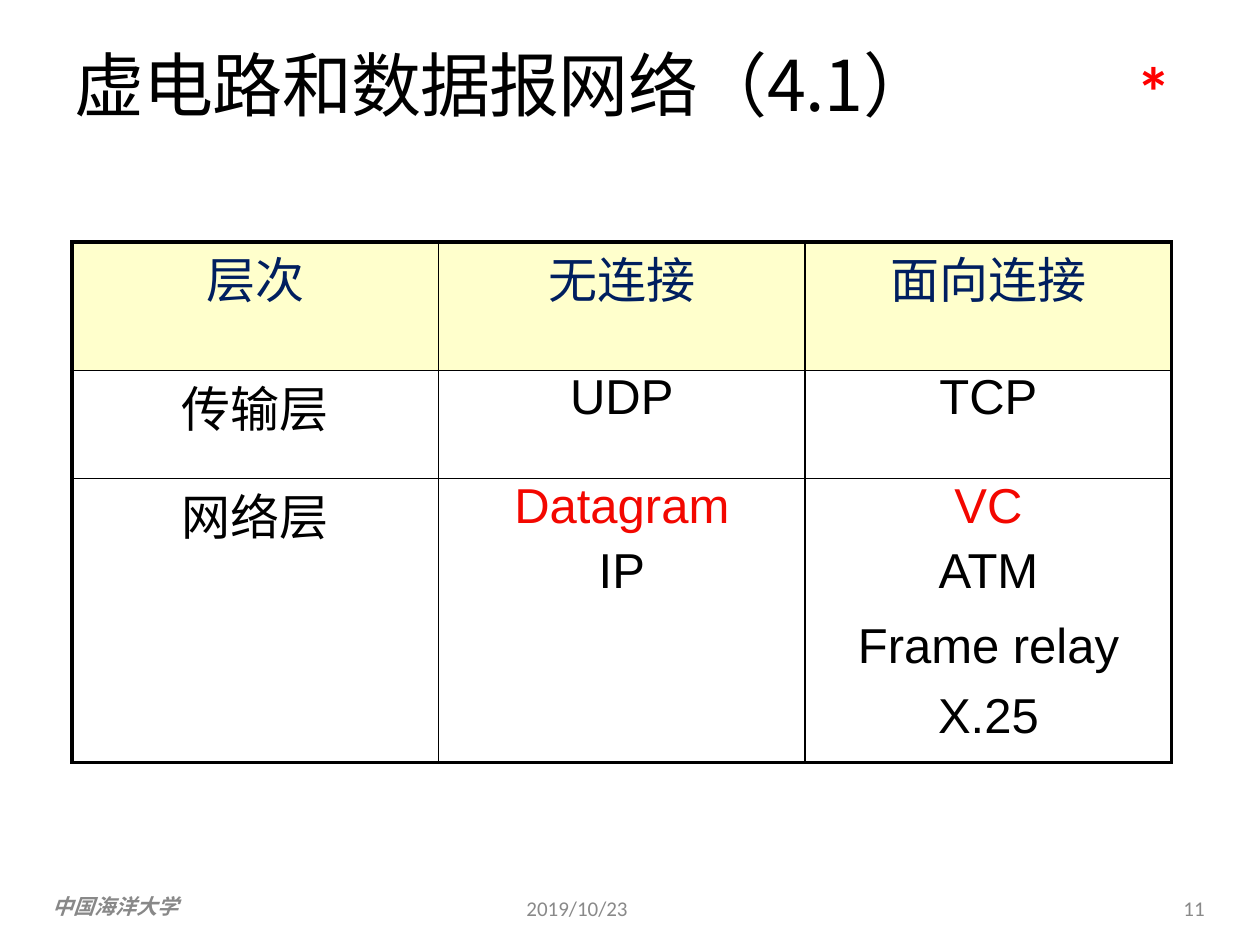
from dataclasses import dataclass

from lxml.etree import SubElement
from pptx import Presentation
from pptx.dml.color import RGBColor as Rgb
from pptx.enum.text import MSO_ANCHOR as Anchor, MSO_AUTO_SIZE as AutoSize, PP_ALIGN as Align
from pptx.oxml.ns import qn
from pptx.util import Inches, Pt

COLORS = {"black": "000000", "navy": "001F5F", "red": "F30700", "star": "FF0000",
          "number": "898989", "school": "888888", "header": "FFFFCC"}
CJK = "Noto Sans CJK SC"
NO_INSETS = dict.fromkeys(("margin_left", "margin_top", "margin_right", "margin_bottom"), 0)


@dataclass
class Line:
    text: str
    size: float = 28
    font: str = "Arial"
    color: str = "black"
    align: Align = Align.CENTER
    bold: bool = False
    italic: bool = False
    tracking: float = 0
    before: float = 0
    leading: float = 0


@dataclass
class Label:
    box: tuple
    line: Line
    frame_format: dict


def apply(target, values: dict) -> None:
    for name, value in values.items():
        setattr(target, name, value)


def write(frame, lines: list[Line]) -> None:
    for index, line in enumerate(lines):
        paragraph = frame.add_paragraph() if index else frame.paragraphs[0]
        spacing = {"alignment": line.align, "space_before": Pt(line.before)}
        if line.leading:
            spacing["line_spacing"] = Pt(line.leading)
        apply(paragraph, spacing)
        run = paragraph.add_run()
        run.text = line.text
        apply(run.font, {"size": Pt(line.size), "name": line.font,
                         "bold": line.bold, "italic": line.italic})
        run.font.color.rgb = Rgb.from_string(COLORS[line.color])
        properties = run._r.get_or_add_rPr()
        properties.set("spc", str(round(line.tracking * 100)))
        east_asian = SubElement(properties, qn("a:ea"))
        east_asian.set("typeface", CJK)


def draw_label(slide, label: Label) -> None:
    box = slide.shapes.add_textbox(*map(Inches, label.box))
    apply(box.text_frame, {"word_wrap": True, **label.frame_format})
    write(box.text_frame, [label.line])


def draw_borders(cell, widths: dict[str, float]) -> None:
    properties = cell._tc.get_or_add_tcPr()
    for side, width in widths.items():
        border = SubElement(properties, qn(f"a:ln{side}"), w=str(Pt(width)))
        fill = SubElement(border, qn("a:solidFill"))
        SubElement(fill, qn("a:srgbClr"), val=COLORS["black"])


def draw_layers(slide, rows: list, heights: list[float], column_width: float) -> None:
    columns = len(rows[0])
    frame = slide.shapes.add_table(len(rows), columns, Inches(0.57), Inches(1.92),
                                   Inches(column_width * columns), Inches(sum(heights)))
    table = frame.table
    apply(table, {"first_row": False, "horz_banding": False})
    for column in table.columns:
        column.width = Inches(column_width)
    for r, (row, height) in enumerate(zip(rows, heights)):
        table.rows[r].height = Inches(height)
        for c, lines in enumerate(row):
            cell = table.cell(r, c)
            apply(cell, NO_INSETS)
            outer = {"L": c == 0, "R": c == columns - 1, "T": r == 0, "B": r == len(rows) - 1}
            draw_borders(cell, {side: 2.25 if edge else 1 for side, edge in outer.items()})
            if r == 0:
                cell.fill.solid()
                cell.fill.fore_color.rgb = Rgb.from_string(COLORS["header"])
            else:
                cell.fill.background()
            write(cell.text_frame, lines)


def main() -> None:
    deck = Presentation()
    apply(deck, {"slide_width": Inches(10), "slide_height": Inches(7.5)})
    slide = deck.slides.add_slide(deck.slide_layouts[5])

    title = slide.shapes.title
    apply(title, {"left": Inches(0.59), "top": Inches(0.35),
                  "width": Inches(8.58), "height": Inches(0.65)})
    apply(title.text_frame, {**NO_INSETS, "vertical_anchor": Anchor.TOP,
                             "auto_size": AutoSize.NONE, "word_wrap": True})
    write(title.text_frame, [Line("虚电路和数据报网络（4.1）", 40, CJK, align=Align.LEFT,
                                  tracking=-0.4, leading=46.6)])

    headings = [[Line(text, font=CJK, color="navy", tracking=0.1)]
                for text in ("层次", "无连接", "面向连接")]
    transport = [[Line("传输层", font=CJK)], [Line("UDP")], [Line("TCP")]]
    network = [
        [Line("网络层", font=CJK)],
        [Line("Datagram", color="red"), Line("IP", before=6)],
        [Line("VC", color="red"), Line("ATM", before=6),
         Line("Frame relay", before=2.5, leading=40.3), Line("X.25", leading=40.3)],
    ]
    draw_layers(slide, [headings, transport, network], [1.02, 0.86, 2.25], 2.91)

    middle = {"vertical_anchor": Anchor.MIDDLE}
    labels = [
        Label((7.33, 7.01, 2.33, 0.4),
              Line("11", 12, "Calibri", "number", Align.RIGHT), middle),
        Label((4.08, 7.01, 2.33, 0.4),
              Line("2019/10/23", 12, "Calibri", "number", Align.LEFT), middle),
        Label((0.42, 7.09, 2.08, 0.2),
              Line("中国海洋大学", 12, "Arial", "school", Align.LEFT, True, True), NO_INSETS),
        Label((8.92, 0.33, 0.5, 0.77),
              Line("*", 40, "Calibri", "star", Align.LEFT, True), {}),
    ]
    for label in labels:
        draw_label(slide, label)
    deck.save("out.pptx")


if __name__ == "__main__":
    main()
